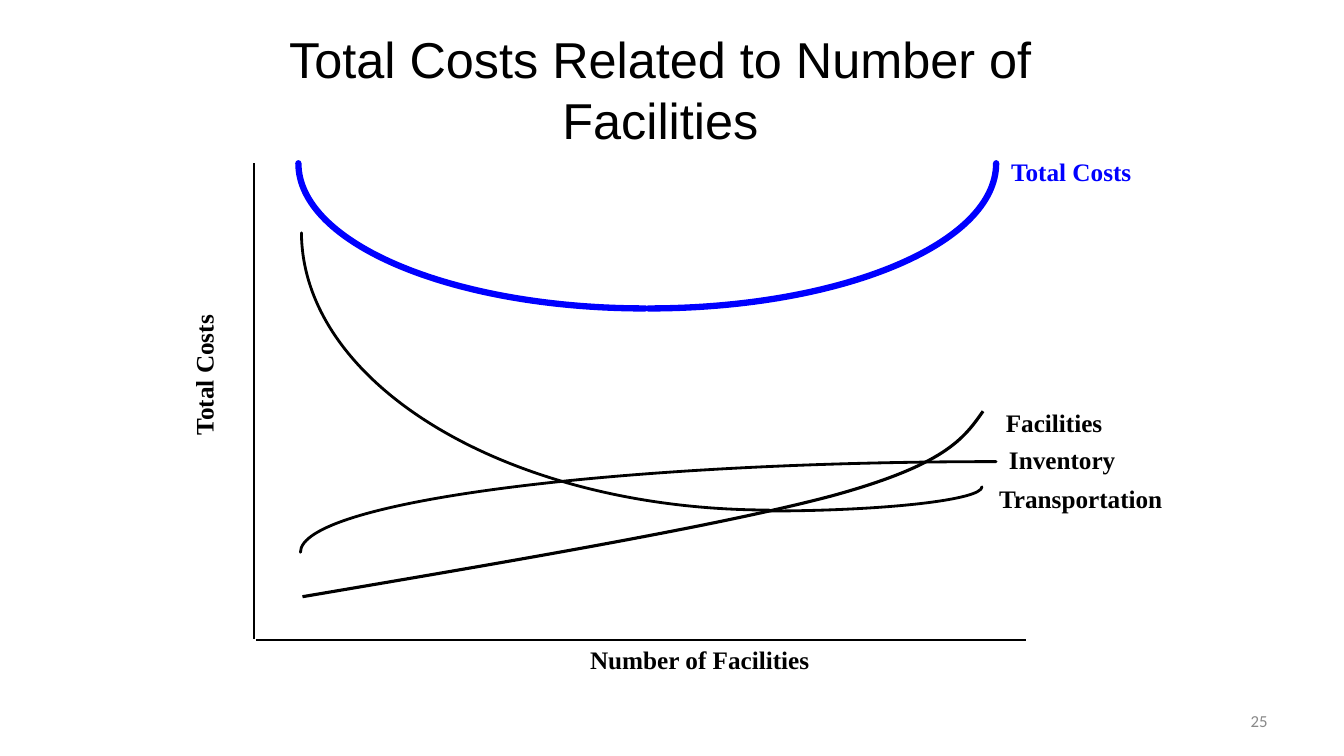
from lxml.etree import SubElement
from pptx import Presentation
from pptx.dml.color import RGBColor
from pptx.enum.shapes import MSO_CONNECTOR as Connector
from pptx.enum.text import MSO_ANCHOR as Anchor, MSO_AUTO_SIZE as AutoSize, PP_ALIGN as Align
from pptx.oxml.ns import qn
from pptx.util import Inches, Pt

BLACK, BLUE, GRAY = "000000", "0000FF", "898989"


def color(hex_code):
    """Turn a hex string into a colour."""
    return RGBColor.from_string(hex_code)


def add_text(slide, text, box, size, font, ink=BLACK, align=Align.CENTER,
             anchor=Anchor.TOP, bold=False, wrap=True, insets=(0.1, 0.05)):
    """Place one paragraph of text and return its box."""
    text_box = slide.shapes.add_textbox(*map(Inches, box))
    frame = text_box.text_frame
    frame.text = text
    frame.word_wrap = wrap
    frame.vertical_anchor = anchor
    frame.margin_left = frame.margin_right = Inches(insets[0])
    frame.margin_top = frame.margin_bottom = Inches(insets[1])
    paragraph = frame.paragraphs[0]
    paragraph.alignment = align
    run_font = paragraph.runs[0].font
    run_font.name, run_font.size, run_font.bold = font, Pt(size), bold
    run_font.color.rgb = color(ink)
    return text_box


def add_label(slide, text, left, top, width, ink=BLACK, align=Align.CENTER, wrap=False):
    """Add a bold label for an axis or a curve."""
    label = add_text(slide, text, (left, top, width, 0.4), 18, "Times New Roman",
                     ink, align, bold=True, wrap=wrap)
    label.text_frame.auto_size = AutoSize.SHAPE_TO_FIT_TEXT
    return label


def add_axis(slide, start, end):
    """Draw a straight axis without a shadow."""
    axis = slide.shapes.add_connector(Connector.STRAIGHT, *map(Inches, start + end))
    axis.line.color.rgb = color(BLACK)
    axis.line.width = Pt(2)
    SubElement(axis._element.spPr, qn("a:effectLst"))


def bend_outline(curve):
    """Turn each three line segments of an outline into one cubic curve."""
    outline = next(curve._element.iter(qn("a:path")))
    segments = outline.findall(qn("a:lnTo"))
    for first in range(0, len(segments), 3):
        bend = SubElement(outline, qn("a:cubicBezTo"))
        for segment in segments[first:first + 3]:
            bend.append(segment[0])
            outline.remove(segment)


def add_curve(shapes, controls, ink=BLACK, width=2, cap="rnd"):
    """Draw chained cubic curves through their control points."""
    start, *rest = [tuple(map(Inches, point)) for point in controls]
    builder = shapes.build_freeform(*start)
    builder.add_line_segments(rest, close=False)
    curve = builder.convert_to_shape()
    bend_outline(curve)
    curve.shadow.inherit = False
    curve.fill.background()
    curve.line.color.rgb = color(ink)
    curve.line.width = Pt(width)
    curve._element.spPr.find(qn("a:ln")).set("cap", cap)


def main():
    """Build the facility cost slide."""
    deck = Presentation()
    deck.slide_width, deck.slide_height = Inches(13.33), Inches(7.5)
    slide = deck.slides.add_slide(deck.slide_layouts[6])

    add_text(slide, "25", (9.56, 6.95, 3.11, 0.4), 12, "Calibri", GRAY,
             Align.RIGHT, Anchor.MIDDLE)
    add_label(slide, "Transportation", 9.81, 4.75, 1.85, align=Align.LEFT, wrap=True)
    add_text(slide, "Total Costs Related to Number of Facilities", (1.93, 0.17, 9.24, 1.33),
             36, "Arial", anchor=Anchor.BOTTOM, insets=(0.05, 0.02))

    cost_axis_label = add_label(slide, " Total Costs", 1.29, 3.55, 1.46)
    cost_axis_label.rotation = 270
    add_label(slide, "Number of Facilities", 5.74, 6.34, 2.4)
    add_axis(slide, (2.52, 1.62), (2.52, 6.34))
    add_axis(slide, (2.54, 6.35), (10.18, 6.35))

    add_label(slide, "Inventory", 9.9, 4.36, 1.27)
    add_label(slide, "Facilities", 9.87, 3.99, 1.17)
    add_label(slide, "Total Costs", 9.92, 1.5, 1.41, BLUE)

    falling_transport = [(7.63, 5.06), (5.07, 5.06), (3, 3.83), (2.99, 2.31)]
    rising_transport = [(9.74, 4.83), (9.74, 4.96), (8.77, 5.07), (7.58, 5.07)]
    inventory = [(2.98, 5.48), (2.98, 4.98), (6.07, 4.58), (9.88, 4.58)]
    rising_total = [(9.88, 1.62), (9.88, 2.42), (8.34, 3.06), (6.43, 3.06)]
    falling_total = [(6.4, 3.06), (4.5, 3.06), (2.96, 2.42), (2.96, 1.62)]
    facilities = [(3, 5.92), (5.06, 5.57), (7.12, 5.22), (8.25, 4.92),
                  (9.38, 4.61), (9.56, 4.35), (9.75, 4.08)]

    add_curve(slide.shapes, falling_transport)
    add_curve(slide.shapes, inventory)
    total_costs = slide.shapes.add_group_shape()
    for half in (rising_total, falling_total):
        add_curve(total_costs.shapes, half, BLUE, 4.5)
    add_curve(slide.shapes, rising_transport)
    add_curve(slide.shapes, facilities, width=2.25, cap="flat")

    deck.save("out.pptx")


if __name__ == "__main__":
    main()
